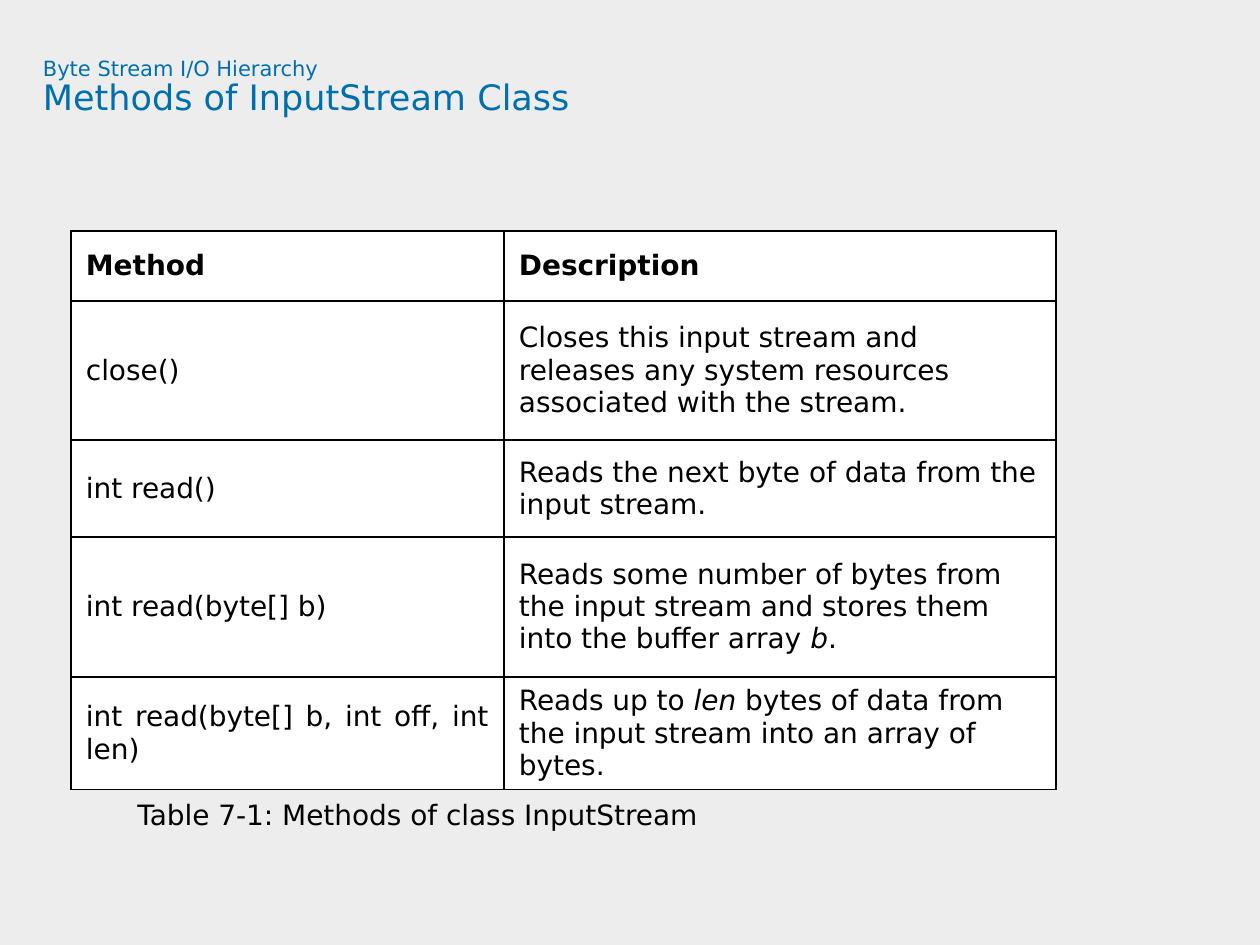
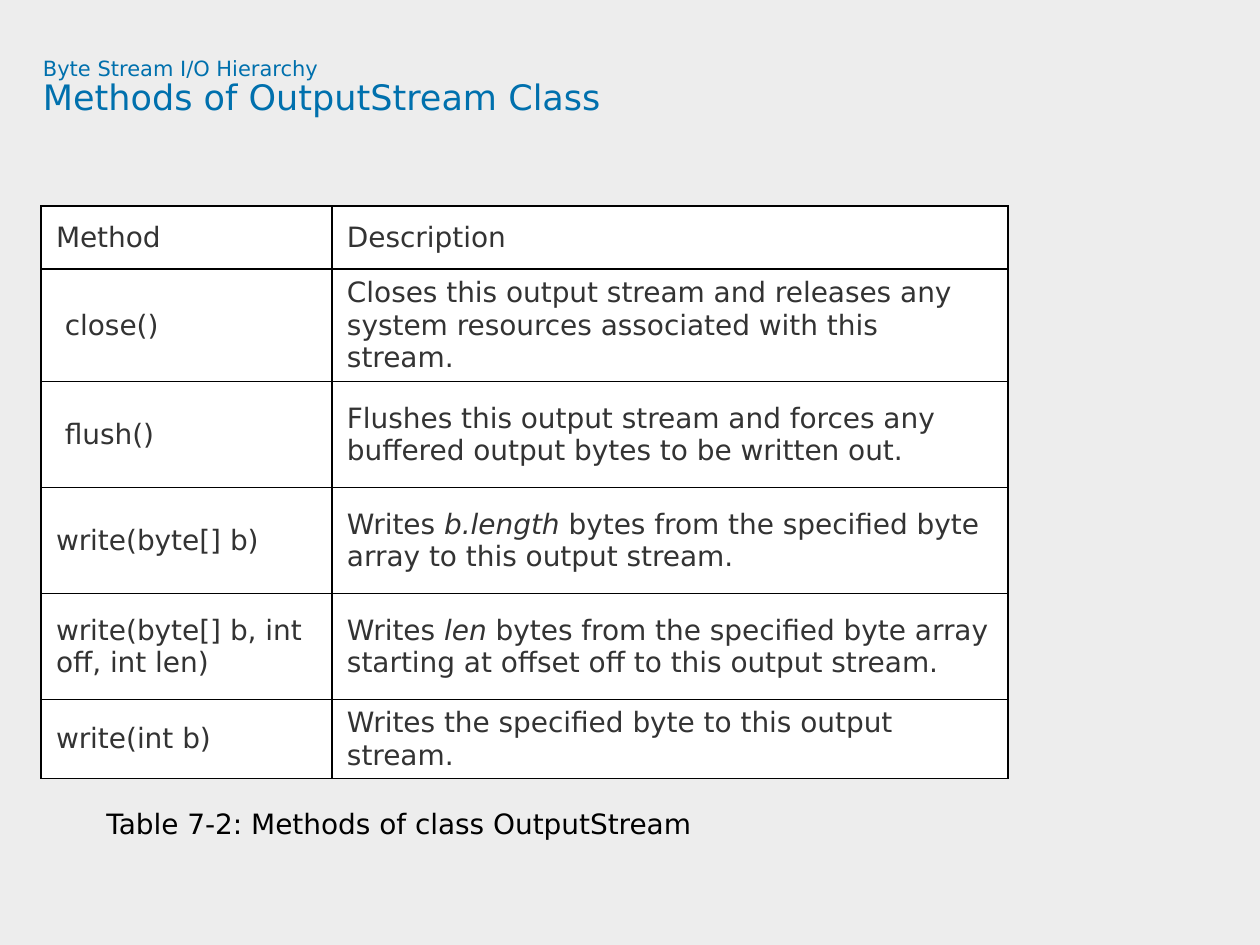
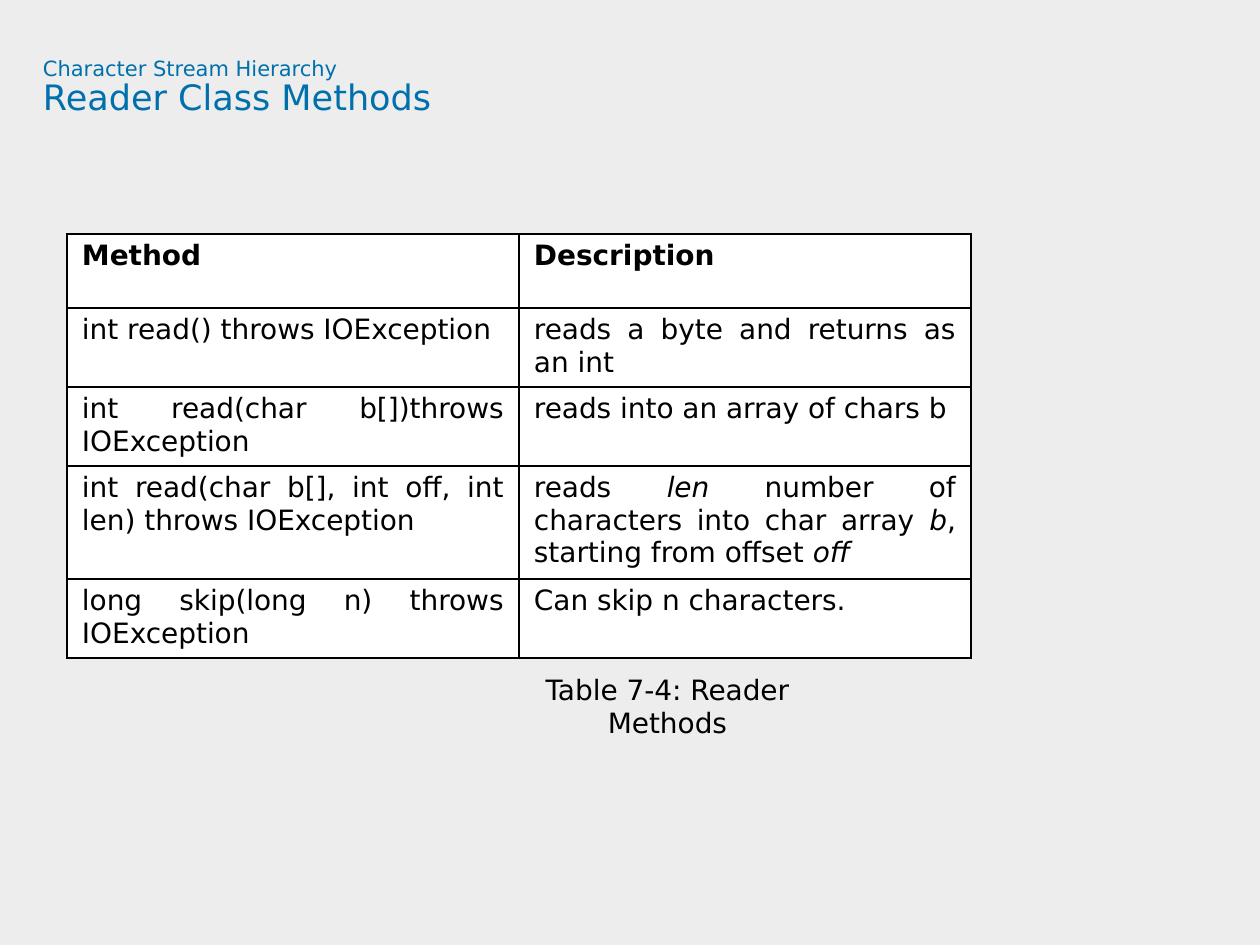
from dataclasses import dataclass

from lxml import etree
from pptx import Presentation
from pptx.dml.color import RGBColor
from pptx.enum.text import MSO_ANCHOR, PP_ALIGN
from pptx.oxml import parse_xml
from pptx.oxml.ns import nsdecls
from pptx.util import Emu, Pt

TOP, MIDDLE, BOTTOM = MSO_ANCHOR.TOP, MSO_ANCHOR.MIDDLE, MSO_ANCHOR.BOTTOM
LEFT, CENTER, JUSTIFY = PP_ALIGN.LEFT, PP_ALIGN.CENTER, PP_ALIGN.JUSTIFY
PX = 914400 / 126


@dataclass(frozen=True)
class Theme:
    font: str = "DejaVu Sans"
    background: str = "EDEDED"
    title: str = "0070AD"
    cell: str = "FFFFFF"
    black: str = "000000"
    grey: str = "333333"
    section_size: int = 12
    title_size: int = 20
    body_size: int = 16


T = Theme()


def px(n):
    return Emu(round(n * PX))


def write(p, text, size, colour, align=LEFT, bold=False):
    p.alignment = align
    p.font.name = T.font
    p.font.size = Pt(size)
    p.font.bold = bold
    p.font.color.rgb = RGBColor.from_string(colour)
    for i, part in enumerate(text.split("*")):
        if part:
            r = p.add_run()
            r.text = part
            if i % 2:
                r.font.italic = True


SLIDES = [
    {
        "section": "Byte Stream I/O Hierarchy",
        "title": "Methods of InputStream Class",
        "origin": (71, 231),
        "cols": (433, 552),
        "heights": (70, 139, 97, 140, 109),
        "colour": T.black, "bold_header": True,
        "justified": (0,), "anchor": MIDDLE,
        "rows": [
            ("Method", "Description"),
            ("close()", "Closes this input stream and releases any system resources associated with the stream."),
            ("int read()", "Reads the next byte of data from the input stream."),
            ("int read(byte[] b)", "Reads some number of bytes from the input stream and stores them into the buffer array *b*."),
            ("int read(byte[] b, int off, int len)", "Reads up to *len* bytes of data from the input stream into an array of bytes."),
        ],
        "caption": ("Table 7‑1: Methods of class InputStream", (125, 787, 966, 50), BOTTOM, LEFT),
    },
    {
        "section": "Byte Stream I/O Hierarchy",
        "title": "Methods of OutputStream Class",
        "origin": (41, 206),
        "cols": (291, 676),
        "heights": (63, 109, 106, 106, 106, 77),
        "colour": T.grey, "bold_header": False,
        "justified": (), "anchor": MIDDLE,
        "rows": [
            ("Method", "Description"),
            (" close()", "Closes this output stream and releases any system resources associated with this stream."),
            (" flush()", "Flushes this output stream and forces any buffered output bytes to be written out."),
            ("write(byte[] b)", "Writes *b.length* bytes from the specified byte array to this output stream."),
            ("write(byte[] b, int off, int len)", "Writes *len* bytes from the specified byte array starting at offset off to this output stream."),
            ("write(int b)", "Writes the specified byte to this output stream."),
        ],
        "caption": ("Table 7‑2: Methods of class OutputStream", (94, 766, 966, 80), BOTTOM, LEFT),
    },
    {
        "section": "Character Stream Hierarchy",
        "title": "Reader Class Methods",
        "origin": (67, 234),
        "cols": (452, 452),
        "heights": (74, 78, 78, 109, 78),
        "colour": T.black, "bold_header": True,
        "justified": (0, 1), "anchor": TOP,
        "rows": [
            ("Method", "Description"),
            ("int read() throws IOException", "reads a byte and returns as an int"),
            ("int read(char b[])throws IOException", "reads into an array of chars b"),
            ("int read(char b[], int off, int len) throws IOException", "reads *len* number of characters into char array *b*, starting from offset *off*"),
            ("long skip(long n) throws IOException", "Can skip n characters."),
        ],
        "caption": ("Table 7‑4: Reader Methods", (484, 667, 367, 78), MIDDLE, CENTER),
    },
]

prs = Presentation()
prs.slide_width, prs.slide_height = px(1260), px(945)
fill = prs.slide_master.background.fill
fill.solid()
fill.fore_color.rgb = RGBColor.from_string(T.background)

for data in SLIDES:
    s = prs.slides.add_slide(prs.slide_layouts[6])

    tf = s.shapes.add_textbox(px(43), px(58), px(1145), px(118)).text_frame
    tf.word_wrap = True
    tf.margin_left = tf.margin_top = tf.margin_right = tf.margin_bottom = 0
    write(tf.paragraphs[0], data["section"], T.section_size, T.title)
    write(tf.add_paragraph(), data["title"], T.title_size, T.title)
    for p in tf.paragraphs:
        p.line_spacing = 0.9

    left, top = data["origin"]
    cols, heights, rows = data["cols"], data["heights"], data["rows"]
    table = s.shapes.add_table(len(rows), len(cols), px(left), px(top),
                               px(sum(cols)), px(sum(heights))).table
    table.first_row = table.horz_banding = False
    for column, width in zip(table.columns, cols):
        column.width = px(width)
    for row, height in zip(table.rows, heights):
        row.height = px(height)
    for i, texts in enumerate(rows):
        for j, text in enumerate(texts):
            cell = table.cell(i, j)
            cell.fill.solid()
            cell.fill.fore_color.rgb = RGBColor.from_string(T.cell)
            cell.margin_left = cell.margin_right = px(15)
            cell.margin_top = cell.margin_bottom = px(6)
            cell.vertical_anchor = data["anchor"]
            tcPr = cell._tc.get_or_add_tcPr()
            for k, side in enumerate(("lnL", "lnR", "lnT", "lnB")):
                ln = parse_xml(f'<a:{side} {nsdecls("a")} w="12700"><a:solidFill/></a:{side}>')
                etree.SubElement(ln[0], ln[0].tag.replace("solidFill", "srgbClr"), val=T.black)
                tcPr.insert(k, ln)
            write(cell.text_frame.paragraphs[0], text, T.body_size, data["colour"],
                  JUSTIFY if j in data["justified"] else LEFT,
                  i == 0 and data["bold_header"])

    text, box, anchor, align = data["caption"]
    tf = s.shapes.add_textbox(*map(px, box)).text_frame
    tf.word_wrap = True
    tf.vertical_anchor = anchor
    write(tf.paragraphs[0], text, T.body_size, T.black, align)

prs.save("out.pptx")
